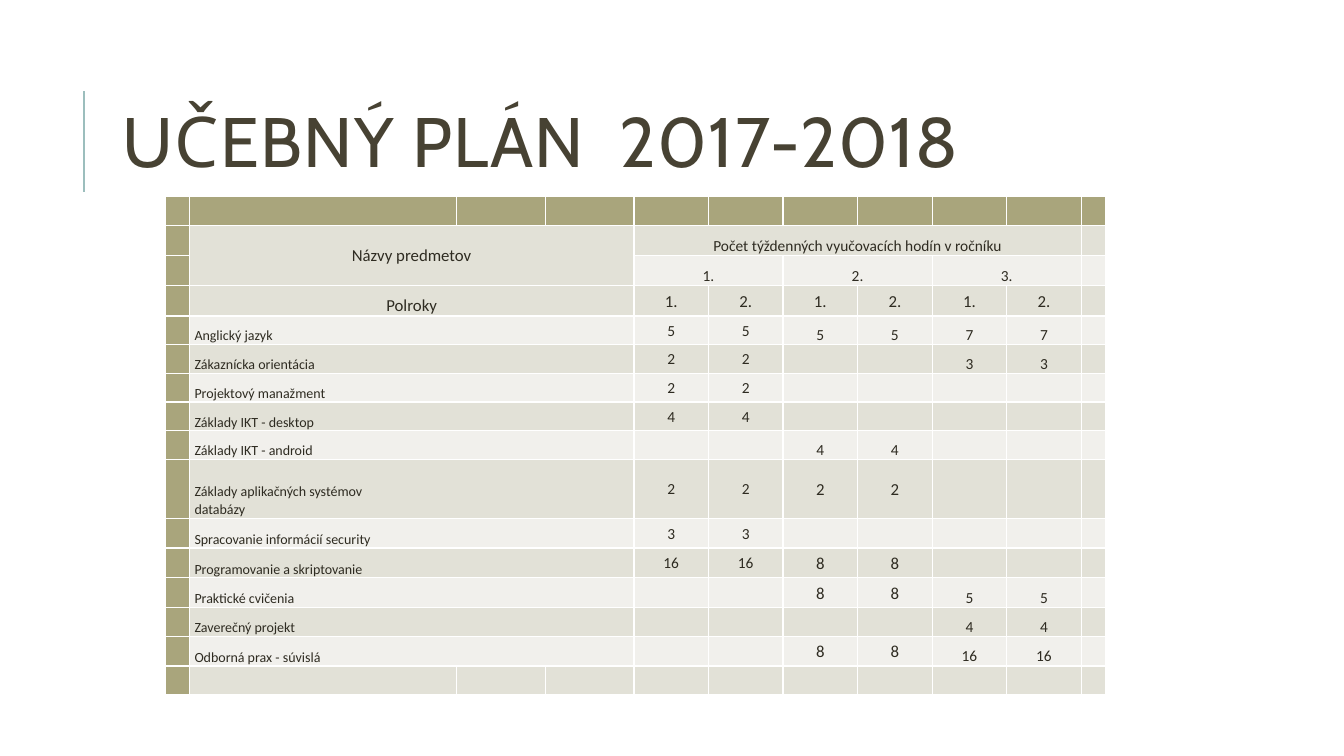
from dataclasses import dataclass

from lxml.etree import SubElement
from pptx import Presentation
from pptx.dml.color import RGBColor
from pptx.enum.shapes import MSO_CONNECTOR as Connector
from pptx.enum.text import MSO_ANCHOR as Anchor, PP_ALIGN as Align
from pptx.oxml.ns import qn
from pptx.util import Pt

PX = 4572  # EMU, 200 px to the inch


@dataclass(frozen=True)
class Theme:
    title_font: str = "Cabin"
    body_font: str = "Calibri"
    title: str = "474233"
    text: str = "2E2B21"
    rule: str = "9CBEBD"
    header: str = "A9A57C"
    bands: tuple = ("F1F0EC", "E2E1D7")
    border: str = "FFFFFF"
    title_size: int = 50
    large: int = 12
    medium: int = 11
    small: int = 10


class SlideBuilder:
    def __init__(self, prs, theme):
        self.theme = theme
        self.s = prs.slides.add_slide(prs.slide_layouts[6])

    def line(self, x1, y1, x2, y2, width):
        c = self.s.shapes.add_connector(Connector.STRAIGHT, x1 * PX, y1 * PX, x2 * PX, y2 * PX)
        c.line.color.rgb = RGBColor.from_string(self.theme.rule)
        c.line.width = Pt(width)
        SubElement(c._element.spPr, qn("a:effectLst"))

    def title(self, x, y, w, h, text):
        tf = self.s.shapes.add_textbox(x * PX, y * PX, w * PX, h * PX).text_frame
        tf.word_wrap = True
        tf.vertical_anchor = Anchor.MIDDLE
        tf.text = text
        p = tf.paragraphs[0]
        p.line_spacing = 0.8
        r = p.runs[0]
        self.style(r, self.theme.title_font, self.theme.title_size, self.theme.title)
        r._r.get_or_add_rPr().set("spc", "100")

    def style(self, r, font, size, color):
        r.font.name = font
        r.font.size = Pt(size)
        r.font.color.rgb = RGBColor.from_string(color)

    def table(self, x, y, cols, rows):
        frame = self.s.shapes.add_table(
            len(rows), len(cols), x * PX, y * PX, sum(cols) * PX, sum(rows) * PX)
        table = frame.table
        table.first_row = table.horz_banding = False
        for col, width in zip(table.columns, cols):
            col.width = width * PX
        for i, (row, height) in enumerate(zip(table.rows, rows)):
            row.height = height * PX
            for j, cell in enumerate(row.cells):
                is_header = i == 0 or j == 0
                self.borders(cell)
                cell.fill.solid()
                cell.fill.fore_color.rgb = RGBColor.from_string(
                    self.theme.header if is_header else self.theme.bands[i % 2])
                cell.margin_left = cell.margin_right = 10 * PX
                cell.margin_top = cell.margin_bottom = 0
                # Keeps empty cells from stretching their row
                end = SubElement(cell.text_frame.paragraphs[0]._p, qn("a:endParaRPr"))
                end.set("sz", str(self.theme.small * 100))
        return table

    def borders(self, cell):
        tc_pr = cell._tc.get_or_add_tcPr()
        for side in "LRTB":
            ln = SubElement(tc_pr, qn(f"a:ln{side}"), w=str(Pt(1)))
            fill = SubElement(ln, qn("a:solidFill"))
            SubElement(fill, qn("a:srgbClr"), val=self.theme.border)

    def cell(self, table, row, col, text, size, anchor, align=Align.CENTER, span=(1, 1)):
        cell = table.cell(row, col)
        if span != (1, 1):
            cell.merge(table.cell(row + span[0] - 1, col + span[1] - 1))
        cell.vertical_anchor = anchor
        p = cell.text_frame.paragraphs[0]
        p.text = text
        p.alignment = align
        p.line_spacing = 1.07
        for r in p.runs:
            self.style(r, self.theme.body_font, size, self.theme.text)
        for br in p._p.findall(qn("a:br")):
            SubElement(br, qn("a:rPr"), sz=str(size * 100))


THEME = Theme()
MIDDLE = (THEME.medium, Anchor.MIDDLE)
BOTTOM = (THEME.medium, Anchor.BOTTOM)
LARGE = (THEME.large, Anchor.MIDDLE)

# Subject, weekly hours in years 1 to 3, style of year 2
SUBJECTS = [
    ("Anglický jazyk", (5, 5, 7), BOTTOM),
    ("Zákaznícka orientácia", (2, None, 3), BOTTOM),
    ("Projektový manažment", (2, None, None), BOTTOM),
    ("Základy IKT - desktop", (4, None, None), BOTTOM),
    ("Základy IKT - android", (None, 4, None), BOTTOM),
    ("Základy aplikačných systémov\ndatabázy", (2, 2, None), LARGE),
    ("Spracovanie informácií security", (3, None, None), BOTTOM),
    ("Programovanie a skriptovanie", (16, 8, None), LARGE),
    ("Praktické cvičenia", (None, 8, 5), LARGE),
    ("Zaverečný projekt", (None, None, 4), BOTTOM),
    ("Odborná prax - súvislá", (None, 8, 16), LARGE),
]
COLS = [48, 530, 176, 176] + [148] * 6 + [48]
ROWS = [57] + [60] * 3 + [57] * 5 + [117] + [59] * 3 + [57, 59, 57]
FIRST_HOURS_COL = 4
FIRST_SUBJECT_ROW = 4


def main():
    prs = Presentation()
    prs.slide_width, prs.slide_height = 2667 * PX, 1500 * PX
    b = SlideBuilder(prs, THEME)

    # Heading
    b.line(166, 380, 166, 180, 1.5)
    b.title(224, 128, 2126, 328, "UČEBNÝ PLÁN  2017-2018")

    # Table headings
    table = b.table(328, 390, COLS, ROWS)
    b.cell(table, 1, 1, "Názvy predmetov", *LARGE, span=(2, 3))
    b.cell(table, 1, FIRST_HOURS_COL, "Počet týždenných vyučovacích hodín v ročníku",
           *BOTTOM, span=(1, 6))
    b.cell(table, 3, 1, "Polroky", THEME.large, Anchor.BOTTOM, span=(1, 3))
    for year in range(3):
        col = FIRST_HOURS_COL + 2 * year
        b.cell(table, 2, col, f"{year + 1}.", *BOTTOM, span=(1, 2))
        for half in range(2):
            b.cell(table, 3, col + half, f"{half + 1}.", *LARGE)

    # Subjects, with the same hours in both halves of a year
    for row, (name, hours, second_style) in enumerate(SUBJECTS, FIRST_SUBJECT_ROW):
        b.cell(table, row, 1, name, THEME.small, Anchor.BOTTOM, Align.LEFT, (1, 3))
        for year, (value, style) in enumerate(zip(hours, (MIDDLE, second_style, BOTTOM))):
            if value is None:
                continue
            for half in range(2):
                b.cell(table, row, FIRST_HOURS_COL + 2 * year + half, str(value), *style)

    prs.save("out.pptx")


if __name__ == "__main__":
    main()
